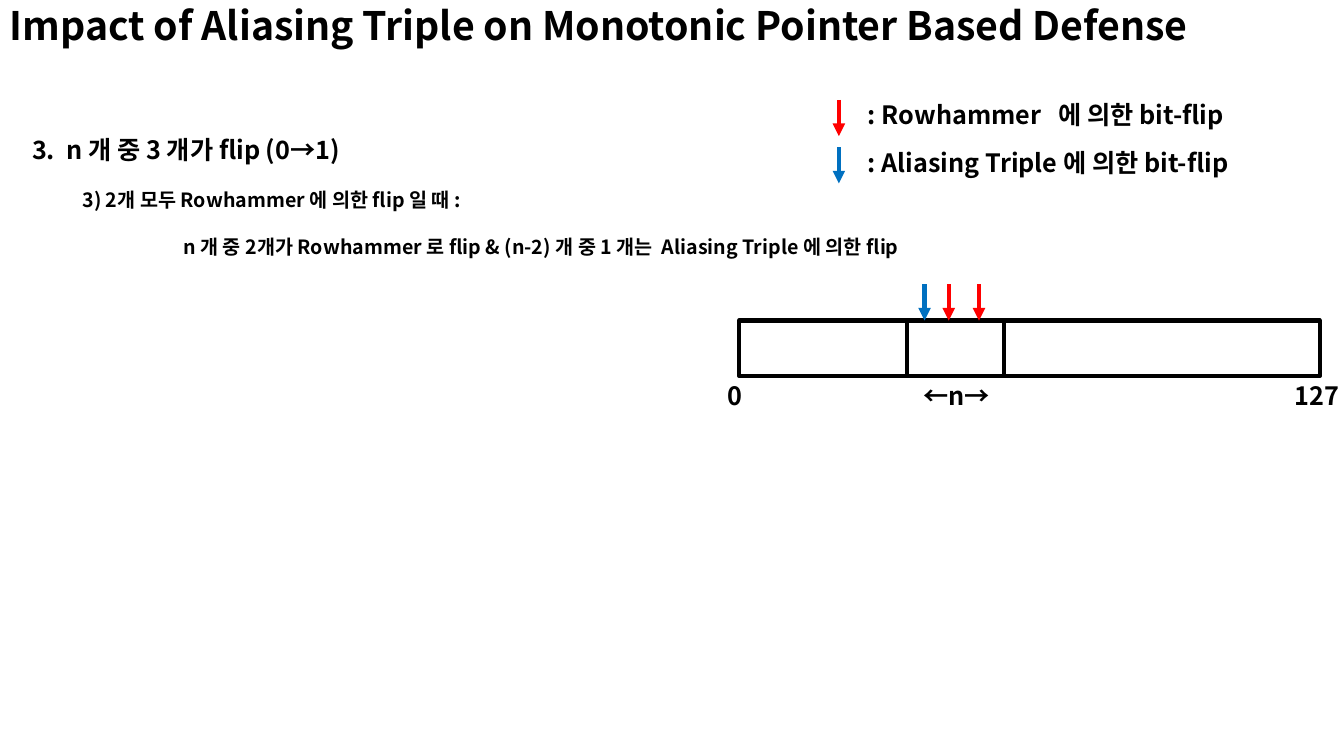
import pptx
import pptx.dml.color
import pptx.enum.shapes
import pptx.enum.text
import pptx.oxml
import pptx.oxml.ns
import pptx.util
from pptx.util import Inches

RGBColor = pptx.dml.color.RGBColor
BLACK = RGBColor(0x00, 0x00, 0x00)
ROWHAMMER_RED = RGBColor(0xFF, 0x00, 0x00)
ALIASING_BLUE = RGBColor(0x00, 0x70, 0xC0)

FONT = "Noto Sans CJK KR"
LINE_WIDTH = pptx.util.Pt(3)
ARROW_LENGTH = 0.36
LABEL_HEIGHT = 0.4
ALIGN = pptx.enum.text.PP_ALIGN


def drawing_element(tag, **attributes):
    element = pptx.oxml.parse_xml(f"<a:{tag} {pptx.oxml.ns.nsdecls('a')}/>")
    for name, value in attributes.items():
        element.set(name, value)
    return element


def style_paragraph(paragraph, size):
    """Apply the bold slide font, for Latin and Korean letters alike."""
    for run in paragraph.runs:
        font = run.font
        font.name = FONT
        font.size = pptx.util.Pt(size)
        font.bold = True
        font.color.rgb = BLACK
        font._element.find(pptx.oxml.ns.qn("a:latin")).addnext(
            drawing_element("ea", typeface=FONT))


def add_text(shapes, left, top, width, height, text, size=18, align=ALIGN.LEFT):
    box = shapes.add_textbox(Inches(left), Inches(top), Inches(width), Inches(height))
    text_frame = box.text_frame
    text_frame.word_wrap = True
    text_frame.text = text
    paragraph = text_frame.paragraphs[0]
    paragraph.alignment = align
    style_paragraph(paragraph, size)
    return text_frame


def add_flip_arrow(shapes, x, top, color):
    arrow = shapes.add_connector(
        pptx.enum.shapes.MSO_CONNECTOR.STRAIGHT,
        Inches(x), Inches(top), Inches(x), Inches(top + ARROW_LENGTH))
    arrow.line.color.rgb = color
    arrow.line.width = LINE_WIDTH
    arrow.line._get_or_add_ln().append(drawing_element("tailEnd", type="triangle"))
    arrow._element.spPr.append(drawing_element("effectLst"))


def add_frame(shapes, left, top, width, height):
    frame = shapes.add_shape(
        pptx.enum.shapes.MSO_SHAPE.RECTANGLE,
        Inches(left), Inches(top), Inches(width), Inches(height))
    frame.shadow.inherit = False
    frame.fill.background()
    frame.line.color.rgb = BLACK
    frame.line.width = LINE_WIDTH


def add_title(slide, left, top, width, height):
    text_frame = add_text(
        slide.shapes, left, top, width, height,
        "Impact of Aliasing Triple on Monotonic Pointer Based Defense", 28)
    text_frame.vertical_anchor = pptx.enum.text.MSO_ANCHOR.MIDDLE
    text_frame.paragraphs[0].line_spacing = 0.9


def add_case_outline(slide, left, top, width, height):
    text_frame = add_text(
        slide.shapes, left, top, width, height, "3.  n 개 중 3 개가 flip (0→1)")
    text_frame.paragraphs[0].line_spacing = 2.0
    details = [
        (0.5, "3) 2개 모두 Rowhammer 에 의한 flip 일 때 :"),
        (1.5, "n 개 중 2개가 Rowhammer 로 flip & (n-2) 개 중 1 개는  "
              "Aliasing Triple 에 의한 flip"),
    ]
    for indent, text in details:
        paragraph = text_frame.add_paragraph()
        paragraph.text = text
        paragraph.level = 1
        paragraph.line_spacing = 2.0
        properties = paragraph._p.get_or_add_pPr()
        properties.set("marL", str(Inches(indent)))
        properties.set("indent", "0")
        style_paragraph(paragraph, 14)


def add_legend(slide, left, top, width):
    shapes = slide.shapes.add_group_shape().shapes
    entries = [
        (ROWHAMMER_RED, ": Rowhammer   에 의한 bit-flip"),
        (ALIASING_BLUE, ": Aliasing Triple 에 의한 bit-flip"),
    ]
    for index, (color, text) in enumerate(entries):
        entry_top = top + 0.47 * index
        add_flip_arrow(shapes, left, entry_top + 0.05, color)
        add_text(shapes, left + 0.19, entry_top, width - 0.19, LABEL_HEIGHT, text)


def add_bit_diagram(slide, left, top, width, height):
    """Draw the 128-bit row, its n-bit field and the flips in that field."""
    shapes = slide.shapes.add_group_shape().shapes
    field_left, field_width = left + 1.67, 0.96
    add_frame(shapes, left, top, width, height)
    add_frame(shapes, field_left, top, field_width, height)

    labels = [
        ("0", left - 0.21, 0.43, ALIGN.LEFT),
        ("←n→", field_left - 0.08, field_width + 0.17, ALIGN.CENTER),
        ("127", left + width - 0.35, 0.7, ALIGN.LEFT),
    ]
    for text, label_left, label_width, align in labels:
        add_text(shapes, label_left, top + height - 0.01, label_width,
                 LABEL_HEIGHT, text, align=align)

    flips = [(0.17, ALIASING_BLUE), (0.41, ROWHAMMER_RED), (0.71, ROWHAMMER_RED)]
    for offset, color in flips:
        add_flip_arrow(slide.shapes, field_left + offset, top - ARROW_LENGTH, color)


def main():
    presentation = pptx.Presentation()
    presentation.slide_width = Inches(13.33)
    presentation.slide_height = Inches(7.5)
    slide = presentation.slides.add_slide(presentation.slide_layouts[6])
    add_title(slide, 0, 0, 13.33, 0.55)
    add_case_outline(slide, 0.22, 0.98, 13.11, 3.93)
    add_bit_diagram(slide, 7.33, 3.18, 5.76, 0.55)
    add_legend(slide, 8.32, 0.94, 4.08)
    presentation.save("out.pptx")


if __name__ == "__main__":
    main()
